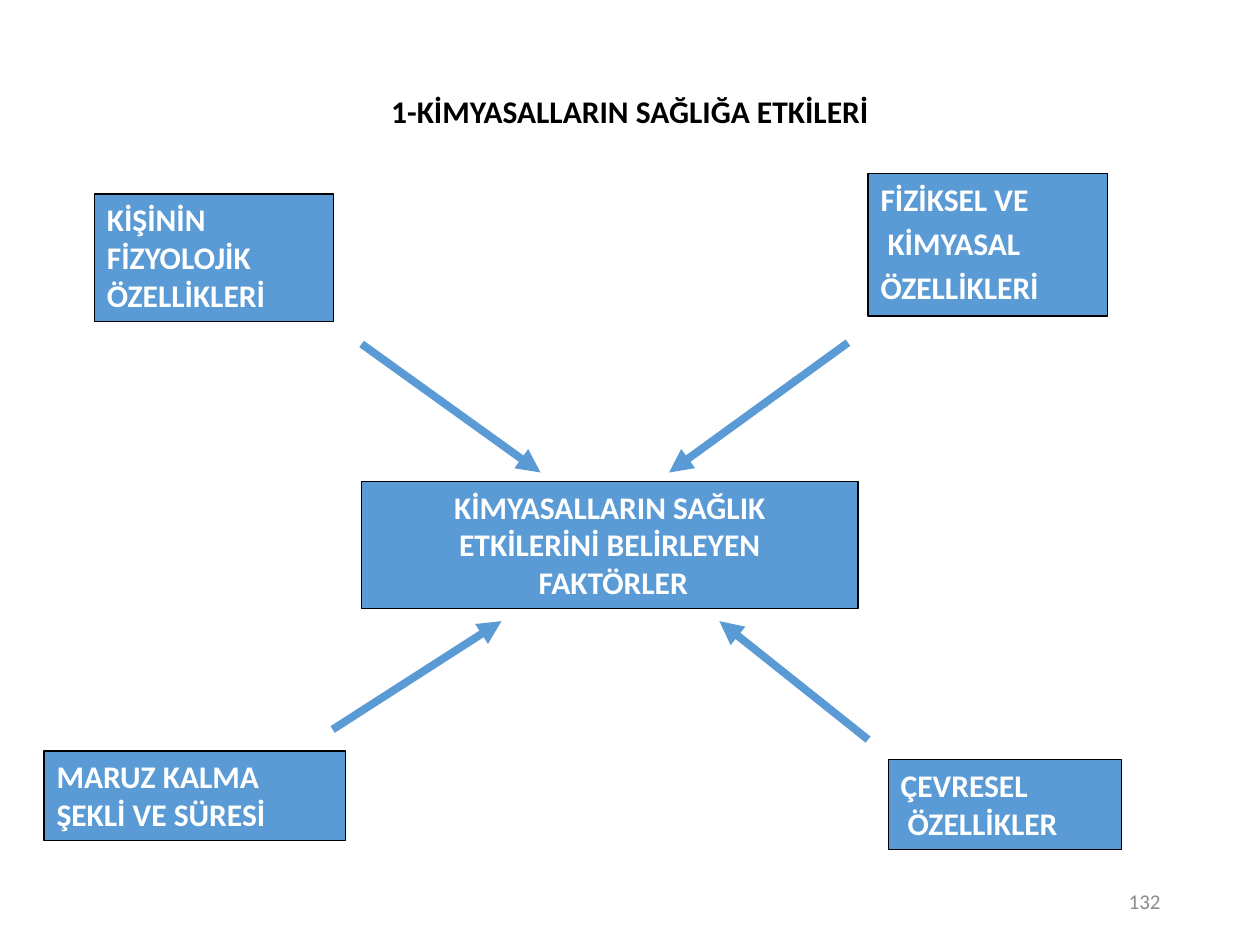
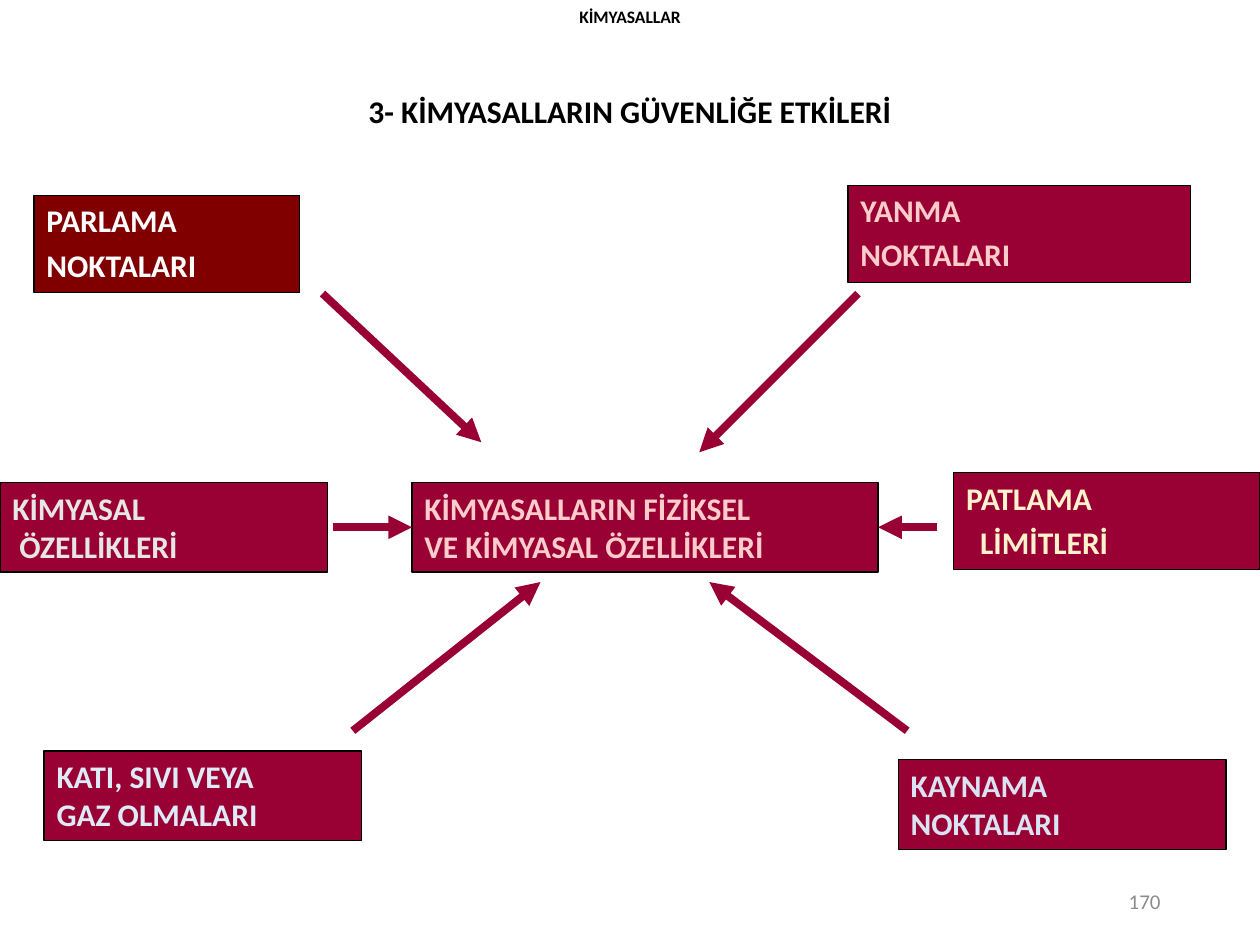
from lxml import etree
from pptx import Presentation
from pptx.dml.color import RGBColor
from pptx.enum.shapes import MSO_CONNECTOR as Connector, MSO_SHAPE as Preset
from pptx.enum.text import MSO_ANCHOR as Anchor, PP_ALIGN as Align
from pptx.oxml.ns import qn
from pptx.util import Inches, Pt

SLIDE_WIDTH, SLIDE_HEIGHT = Inches(10), Inches(7.5)
COLUMNS, ROWS = 100, 75
FONT = "Calibri"
BLACK, WHITE, GREY = "000000", "FFFFFF", "8C8C8C"
BLUE, CRIMSON, MAROON = "5B9BD5", "990033", "800000"
PINK, CREAM, SILVER = "FFCCCC", "FFF2CC", "E7E6E6"
PALE_BLUE, PALE_INDIGO = "DEEBF7", "DAE3F3"
LEFT_SIDE, RIGHT_SIDE = 1, 3


def color(hex_value):
    """Turn a hex string into a colour."""
    return RGBColor.from_string(hex_value)


def column(count):
    """Return the horizontal length of a number of grid columns."""
    return round(SLIDE_WIDTH * count / COLUMNS)


def row(count):
    """Return the vertical length of a number of grid rows."""
    return round(SLIDE_HEIGHT * count / ROWS)


def place(left, top, width, height):
    """Convert a grid rectangle to slide lengths."""
    return column(left), row(top), column(width), row(height)


def write(shape, text, size, text_color, bold=True, align=Align.LEFT,
          anchor=Anchor.TOP, space_after=0, indents=None):
    """Fill a shape with formatted lines; indents maps a line number to points."""
    frame = shape.text_frame
    frame.word_wrap = True
    frame.vertical_anchor = anchor
    frame.text = text
    for number, paragraph in enumerate(frame.paragraphs):
        paragraph.alignment = align
        paragraph.space_after = Pt(space_after)
        if indents and number in indents:
            properties = paragraph._p.get_or_add_pPr()
            properties.set("marL", str(Pt(indents[number])))
            properties.set("indent", "0")
        for run in paragraph.runs:
            run.font.name = FONT
            run.font.size = Pt(size)
            run.font.bold = bold
            run.font.color.rgb = color(text_color)


def add_label(slide, area, text, size, text_color=BLACK, **style):
    """Add a plain text box."""
    write(slide.shapes.add_textbox(*place(*area)), text, size, text_color, **style)


def add_box(slide, left, top, width, text, fill, text_color=WHITE,
            spaced=False, **style):
    """Add an outlined box whose height follows its number of lines."""
    lines = text.count("\n") + 1
    height = 1.1 + 3 * lines + (0.6 * (lines - 1) if spaced else 0)
    box = slide.shapes.add_shape(Preset.RECTANGLE, *place(left, top, width, height))
    box.shadow.inherit = False
    box.fill.solid()
    box.fill.fore_color.rgb = color(fill)
    box.line.color.rgb = color(BLACK)
    box.line.width = Pt(0.75)
    write(box, text, 18, text_color, space_after=3.6 if spaced else 0, **style)
    return box


def add_arrow(slide, start, end, line_color):
    """Add a thick arrow between two grid points."""
    arrow = slide.shapes.add_connector(
        Connector.STRAIGHT, column(start[0]), row(start[1]), column(end[0]), row(end[1]))
    arrow.line.color.rgb = color(line_color)
    arrow.line.width = Pt(4.5)
    etree.SubElement(arrow.line._get_or_add_ln(), qn("a:tailEnd"), type="triangle")
    etree.SubElement(arrow._element.spPr, qn("a:effectLst"))
    return arrow


def add_slide(presentation, title, number):
    """Add a blank slide with the shared title and page number."""
    slide = presentation.slides.add_slide(presentation.slide_layouts[6])
    add_label(slide, (0, 6.8, COLUMNS, 4), title, 18, align=Align.CENTER)
    add_label(slide, (70.6, 69.5, 22.5, 4), number, 12, GREY, bold=False,
              align=Align.RIGHT, anchor=Anchor.MIDDLE)
    return slide


def build_health_slide(presentation):
    """Show the four factors behind the health effects."""
    slide = add_slide(presentation, "1-KİMYASALLARIN SAĞLIĞA ETKİLERİ", "132")
    add_box(slide, 28.7, 38.2, 39.4,
            "KİMYASALLARIN SAĞLIK\nETKİLERİNİ BELİRLEYEN\nFAKTÖRLER", BLUE,
            align=Align.CENTER, indents={2: 4})
    add_box(slide, 68.9, 13.8, 19, "FİZİKSEL VE\nKİMYASAL\nÖZELLİKLERİ", BLUE,
            spaced=True, indents={1: 4})
    add_box(slide, 3.5, 59.6, 23.9, "MARUZ KALMA\nŞEKLİ VE SÜRESİ", BLUE)
    add_box(slide, 7.5, 15.4, 19, "KİŞİNİN\nFİZYOLOJİK\nÖZELLİKLERİ", BLUE)
    add_box(slide, 70.5, 60.3, 18.5, "ÇEVRESEL\nÖZELLİKLER", BLUE, indents={1: 4})
    for start, end in (((67.3, 27.2), (53.1, 37.5)), ((28.7, 27.3), (42.9, 37.5)),
                       ((26.4, 57.9), (39.8, 49.3)), ((68.9, 58.7), (57.1, 49.3))):
        add_arrow(slide, start, end, BLUE)


def build_safety_slide(presentation):
    """Show the six properties behind the safety effects."""
    slide = add_slide(presentation, "3- KİMYASALLARIN GÜVENLİĞE ETKİLERİ", "170")
    add_label(slide, (0, 0, COLUMNS, 2.7), "KİMYASALLAR", 10, align=Align.CENTER)
    center = add_box(slide, 32.7, 38.3, 37,
                     "KİMYASALLARIN FİZİKSEL\nVE KİMYASAL ÖZELLİKLERİ", CRIMSON, PINK)
    add_box(slide, 67.3, 14.7, 27.2, "YANMA\nNOKTALARI", CRIMSON, PINK, spaced=True)
    add_box(slide, 3.5, 59.6, 25.2, "KATI, SIVI VEYA\nGAZ OLMALARI", CRIMSON, PALE_BLUE)
    add_box(slide, 71.3, 60.3, 26, "KAYNAMA\nNOKTALARI", CRIMSON, PALE_INDIGO)
    add_box(slide, 2.7, 15.5, 21.1, "PARLAMA\nNOKTALARI", MAROON, spaced=True)
    add_box(slide, 75.7, 37.5, 24.3, "PATLAMA\nLİMİTLERİ", CRIMSON, CREAM,
            spaced=True, indents={1: 8})
    add_box(slide, 0, 38.3, 26, "KİMYASAL\nÖZELLİKLERİ", CRIMSON, SILVER, indents={1: 4})
    for start, end in (((68.1, 23.3), (55.5, 35.9)), ((25.6, 23.3), (38.2, 35.1)),
                       ((28, 58), (42.9, 46.2)), ((72, 58), (56.3, 46.2))):
        add_arrow(slide, start, end, CRIMSON)
    middle = 38.3 + 7.1 / 2
    for start, end, side in ((74.4, 69.7, RIGHT_SIDE), (26.4, 32.7, LEFT_SIDE)):
        arrow = add_arrow(slide, (start, middle), (end, middle), CRIMSON)
        arrow.end_connect(center, side)


def main():
    """Build and save the presentation."""
    presentation = Presentation()
    presentation.slide_width, presentation.slide_height = SLIDE_WIDTH, SLIDE_HEIGHT
    build_health_slide(presentation)
    build_safety_slide(presentation)
    presentation.save("out.pptx")


if __name__ == "__main__":
    main()
